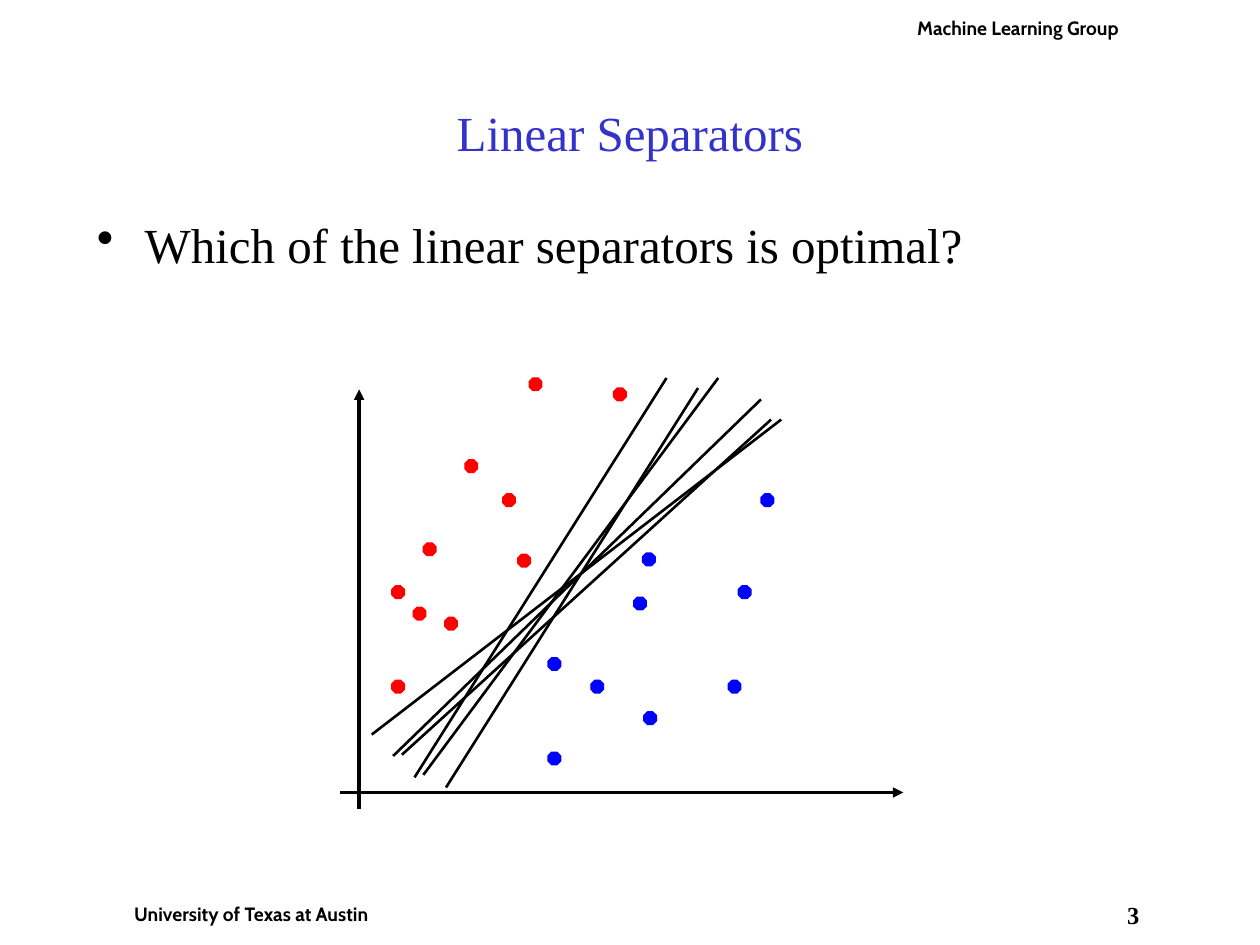
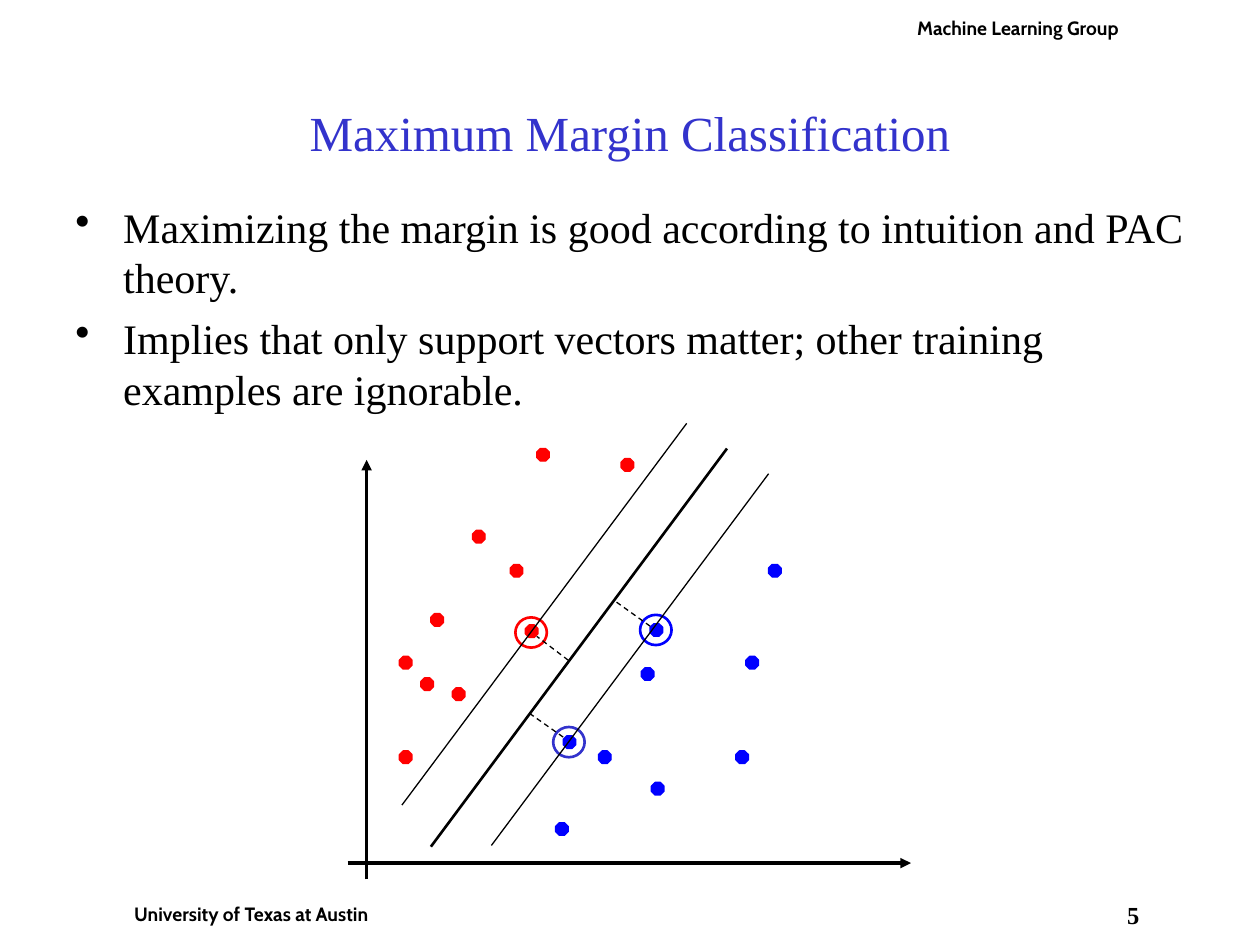
from dataclasses import dataclass
from lxml.etree import SubElement
from pptx import Presentation
from pptx.dml.color import RGBColor as RGB
from pptx.enum.dml import MSO_LINE
from pptx.enum.shapes import MSO_CONNECTOR, MSO_SHAPE as SHAPE
from pptx.enum.text import MSO_ANCHOR as ANCHOR, PP_ALIGN as ALIGN
from pptx.oxml.ns import qn
from pptx.util import Inches, Pt


@dataclass(frozen=True)
class Theme:
    black: RGB = RGB(0, 0, 0)
    white: RGB = RGB(255, 255, 255)
    red: RGB = RGB(255, 0, 0)
    blue: RGB = RGB(0, 0, 255)
    indigo: RGB = RGB(0x33, 0x33, 0xCC)
    serif: str = "Times New Roman"
    sans: str = "Cabin"
    title: int = 28
    label: int = 11
    number: int = 14
    thin: float = 0.75
    medium: float = 1.5
    thick: float = 2


T = Theme()

LABELS = [
    ("University of Texas at Austin", (0.83, 7.11, 2.33, 0.29)),
    ("Machine Learning Group", (7.08, 0.08, 2, 0.29)),
]

AXES = [((2.85, 6.42), (2.85, 3.09)), ((2.7, 6.29), (7.17, 6.29))]
RED_DOTS = [
    (3.99, 3.92), (3.36, 4.31), (3.53, 4.9), (3.11, 5.4), (3.69, 3.65),
    (3.11, 4.65), (3.28, 4.82), (4.11, 4.4), (4.2, 3), (4.87, 3.08),
]
BLUE_DOTS = [
    (5.1, 4.39), (4.69, 5.4), (5.78, 5.4), (4.35, 5.97), (5.03, 4.74),
    (5.11, 5.65), (5.86, 4.65), (6.04, 3.92),
]
DOT = 0.1

SEPARATORS = [
    ((3.19, 5.99), (6.12, 3.33)),
    ((3.36, 6.15), (5.7, 3)),
    ((2.95, 5.83), (6.2, 3.33)),
    ((3.54, 6.25), (5.54, 3.08)),
    ((3.29, 6.17), (5.29, 3)),
    ((3.12, 6), (6.04, 3.17)),
]
BEST_SEPARATOR = ((3.42, 6.72), (5.77, 3.56))
MARGINS = [((3.9, 6.71), (6.1, 3.76)), ((3.19, 6.39), (5.45, 3.36))]
DISTANCES = [
    ((5.16, 4.97), (4.88, 4.77)),
    ((4.47, 5.85), (4.2, 5.66)),
    ((4.51, 5.24), (4.26, 5.05)),
]
SUPPORT_RINGS = [
    ((4.09, 4.9), T.red), ((4.39, 5.77), T.indigo), ((5.08, 4.88), T.blue),
]
RING = (0.25, 0.24)

SLIDES = [
    dict(number="3", title="Linear Separators",
         bullets=["Which of the linear separators is optimal?"],
         body=(0.67, 1.65), size=28, gap=7,
         offset=(0, 0), near_dot=(4.35, 5.22),
         solid=[(line, T.medium) for line in SEPARATORS],
         distances=[], rings=[]),
    dict(number="5", title="Maximum Margin Classification",
         bullets=[
             "Maximizing the margin is good according to intuition and PAC theory.",
             "Implies that only support vectors matter; other training examples are ignorable.",
         ],
         body=(0.5, 1.55), size=24, gap=6,
         offset=(0.06, 0.56), near_dot=(4.47, 5.84),
         solid=[(BEST_SEPARATOR, T.medium)] + [(line, T.thin) for line in MARGINS],
         distances=DISTANCES, rings=SUPPORT_RINGS),
]


def add_text(s, box, lines, size, color=T.black, font=T.serif, bold=False,
             align=ALIGN.CENTER, anchor=ANCHOR.TOP, margins=(0.1, 0.05),
             gap=0, bullet=False, fill=None):
    sp = s.shapes.add_textbox(*map(Inches, box))
    if fill is not None:
        sp.fill.solid()
        sp.fill.fore_color.rgb = fill
    tf = sp.text_frame
    tf.word_wrap = True
    tf.vertical_anchor = anchor
    tf.margin_left = tf.margin_right = Inches(margins[0])
    tf.margin_top = tf.margin_bottom = Inches(margins[1])
    for i, line in enumerate(lines):
        p = tf.paragraphs[0] if i == 0 else tf.add_paragraph()
        p.text = line
        p.alignment = align
        p.space_before = Pt(gap)
        p.font.name, p.font.size, p.font.bold = font, Pt(size), bold
        p.font.color.rgb = color
        if bullet:
            add_bullet(p)


def add_bullet(p):
    pPr = p._p.get_or_add_pPr()
    pPr.set("marL", str(Inches(0.38)))
    pPr.set("indent", str(-Inches(0.38)))
    bullet = pPr.makeelement(qn("a:buChar"), {"char": "•"})
    pPr.insert_element_before(bullet, "a:tabLst", "a:defRPr", "a:extLst")


def add_line(s, start, end, width, dashed=False, arrow=False):
    line = s.shapes.add_connector(MSO_CONNECTOR.STRAIGHT, *map(Inches, start + end))
    line.line.color.rgb = T.black
    line.line.width = Pt(width)
    if dashed:
        line.line.dash_style = MSO_LINE.DASH
    if arrow:
        SubElement(line.line._get_or_add_ln(), qn("a:tailEnd"), type="triangle")
    SubElement(line._element.spPr, qn("a:effectLst"))


def add_mark(s, kind, at, size, color, width, filled):
    sp = s.shapes.add_shape(kind, *map(Inches, at + size))
    sp.shadow.inherit = False
    if filled:
        sp.fill.solid()
        sp.fill.fore_color.rgb = color
    else:
        sp.fill.background()
    sp.line.color.rgb = color
    sp.line.width = Pt(width)


def add_frame(s, spec):
    add_text(s, (8.83, 7.14, 0.33, 0.36), [spec["number"]], T.number,
             bold=True, margins=(0, 0), fill=T.white)
    for label, box in LABELS:
        add_text(s, box, [label], T.label, font=T.sans, bold=True,
                 margins=(0.05, 0.05), gap=6.9, fill=T.white)
    add_text(s, (0.75, 0.42, 8.5, 1.25), [spec["title"]], T.title,
             color=T.indigo, anchor=ANCHOR.MIDDLE)
    add_text(s, spec["body"] + (9, 5.5), spec["bullets"], spec["size"],
             align=ALIGN.LEFT, gap=spec["gap"], bullet=True)


def add_plot(s, spec):
    dx, dy = spec["offset"]

    def shift(point):
        return point[0] + dx, point[1] + dy

    for start, end in AXES:
        add_line(s, shift(start), shift(end), T.thick, arrow=True)
    dots = [(shift(at), T.red) for at in RED_DOTS]
    dots += [(shift(at), T.blue) for at in BLUE_DOTS]
    dots.append((spec["near_dot"], T.blue))
    for at, color in dots:
        add_mark(s, SHAPE.OCTAGON, at, (DOT, DOT), color, T.thin, True)
    for at, color in spec["rings"]:
        add_mark(s, SHAPE.OVAL, at, RING, color, T.medium, False)
    for (start, end), width in spec["solid"]:
        add_line(s, start, end, width)
    for start, end in spec["distances"]:
        add_line(s, start, end, T.thin, dashed=True)


def main():
    prs = Presentation()
    prs.slide_width, prs.slide_height = Inches(10), Inches(7.5)
    for spec in SLIDES:
        s = prs.slides.add_slide(prs.slide_layouts[6])
        add_frame(s, spec)
        add_plot(s, spec)
    prs.save("out.pptx")


if __name__ == "__main__":
    main()
